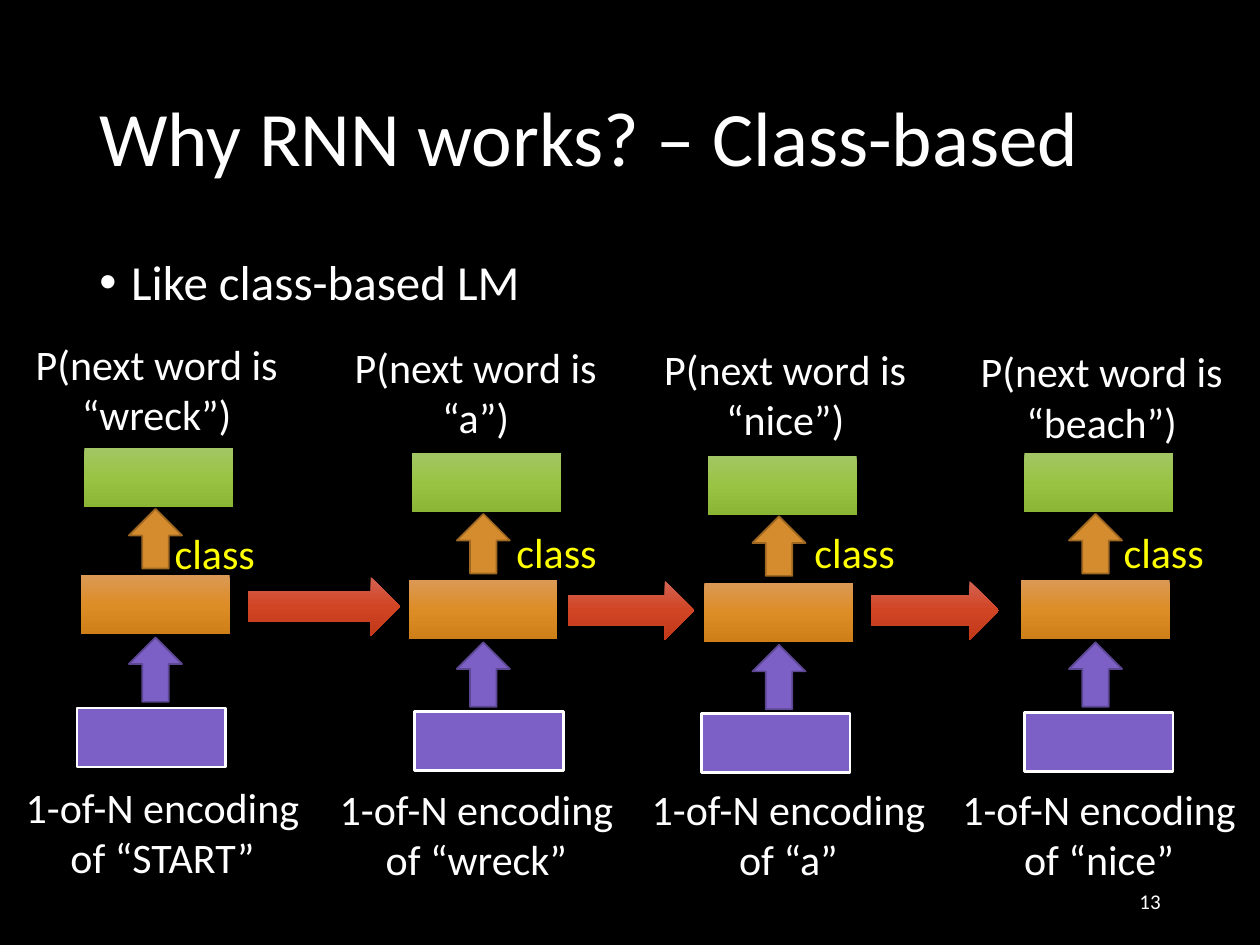
from copy import deepcopy
from dataclasses import dataclass

from lxml.etree import SubElement
from pptx import Presentation
from pptx.dml.color import RGBColor
from pptx.enum.shapes import MSO_SHAPE as Shape
from pptx.enum.text import MSO_ANCHOR as Anchor, MSO_AUTO_SIZE as AutoSize, PP_ALIGN as Align
from pptx.oxml.ns import qn
from pptx.util import Cm, Pt

FONT = "Calibri"
BLACK = RGBColor(0x00, 0x00, 0x00)
WHITE = RGBColor(0xFF, 0xFF, 0xFF)
YELLOW = RGBColor(0xFF, 0xFF, 0x00)
PURPLE = RGBColor(0x7C, 0x60, 0xC6)
DARK_PURPLE = RGBColor(0x5C, 0x47, 0x92)
ORANGE = RGBColor(0xD5, 0x8C, 0x2E)
DARK_ORANGE = RGBColor(0x9E, 0x68, 0x22)
ORANGE_BLEND = (RGBColor(0xDB, 0x99, 0x55), RGBColor(0xDD, 0x8D, 0x26), RGBColor(0xCE, 0x7F, 0x18))
GREEN_BLEND = (RGBColor(0xA2, 0xC6, 0x64), RGBColor(0x99, 0xC4, 0x43), RGBColor(0x8A, 0xB5, 0x35))
RED_BLEND = (RGBColor(0xD3, 0x63, 0x53), RGBColor(0xD1, 0x44, 0x24), RGBColor(0xC1, 0x38, 0x19))

LAYER_WIDTH, LAYER_HEIGHT = 3, 1.19
UP_ARROW_WIDTH = 1.07


@dataclass
class TimeStep:
    """One network step; every offset is (x, y) in cm from the output layer."""
    left: float
    top: float
    word: str
    next_word: str
    input_at: tuple
    encoding_at: tuple
    prediction_at: tuple
    class_at: tuple


TIME_STEPS = [
    TimeStep(1.7, 9.04, "START", "wreck", (-0.15, 5.23), (-1.5, 6.58), (-1.73, -2.34), (1.57, 1.47)),
    TimeStep(8.31, 9.14, "wreck", "a", (0.05, 5.21), (-1.78, 6.53), (-1.91, -2.39), (1.85, 1.35)),
    TimeStep(14.27, 9.19, "a", "nice", (-0.13, 5.19), (-1.45, 6.48), (-1.63, -2.39), (1.9, 1.3)),
    TimeStep(20.65, 9.14, "nice", "beach", (0, 5.23), (-1.57, 6.53), (-1.63, -2.29), (1.75, 1.35)),
]

# left, top and width of the arrows between hidden layers
RECURRENT_ARROWS = [(5, 11.63, 3.07), (11.46, 11.71, 2.54), (17.55, 11.71, 2.59)]


def write_text(frame, text, size=24, color=WHITE, align=Align.LEFT, anchor=Anchor.TOP,
               line_spacing=None, space_before=None):
    frame.word_wrap = True
    frame.auto_size = AutoSize.NONE
    frame.vertical_anchor = anchor
    paragraph = frame.paragraphs[0]
    paragraph.alignment = align
    paragraph.line_spacing = line_spacing
    paragraph.space_before = space_before
    run = paragraph.add_run()
    run.text = text
    run.font.name = FONT
    run.font.size = Pt(size)
    run.font.color.rgb = color
    return paragraph


def add_label(slide, box, text, **text_format):
    label = slide.shapes.add_textbox(*map(Cm, box))
    write_text(label.text_frame, text, **text_format)


def add_solid(slide, kind, box, fill, line, line_width):
    shape = slide.shapes.add_shape(kind, *map(Cm, box))
    shape.shadow.inherit = False
    shape.fill.solid()
    shape.fill.fore_color.rgb = fill
    shape.line.color.rgb = line
    shape.line.width = Pt(line_width)


def add_blended(slide, kind, box, colors):
    """Shape with a three-stop vertical gradient and a soft shadow."""
    shape = slide.shapes.add_shape(kind, *map(Cm, box))
    shape.line.fill.background()
    shape.fill.gradient()
    shape.fill.gradient_angle = 270
    properties = shape._element.spPr
    stop_list = properties.find(qn("a:gradFill")).find(qn("a:gsLst"))
    stop_list.append(deepcopy(stop_list[-1]))
    for stop, position, color in zip(shape.fill.gradient_stops, (0, 0.5, 1), colors):
        stop.position = position
        stop.color.rgb = color

    shape.shadow.inherit = False
    shadow = SubElement(properties.find(qn("a:effectLst")), qn("a:outerShdw"),
                        blurRad=str(Pt(4.5)), dist=str(Pt(1.5)), dir="5400000",
                        algn="ctr", rotWithShape="0")
    shadow_color = SubElement(shadow, qn("a:srgbClr"), val=str(BLACK))
    SubElement(shadow_color, qn("a:alpha"), val="63000")


def add_header(slide):
    # Title
    title = slide.shapes.title
    title.left, title.top, title.width, title.height = map(Cm, (1.75, 1.01, 21.9, 3.68))
    write_text(title.text_frame, "Why RNN works? – Class-based", size=44,
               anchor=Anchor.MIDDLE, line_spacing=0.9)

    # Bullet list
    body = slide.placeholders[1]
    body.left, body.top, body.width, body.height = map(Cm, (1.75, 5.07, 21.9, 12.09))
    paragraph = write_text(body.text_frame, "Like class-based LM", size=28,
                           line_spacing=0.9, space_before=Pt(10))
    indent = Cm(0.64)
    bullet = paragraph._p.get_or_add_pPr()
    bullet.set("marL", str(indent))
    bullet.set("indent", str(-indent))


def add_time_step(slide, step):
    def place(offset, width, height):
        return step.left + offset[0], step.top + offset[1], width, height

    # Layers, from input to output
    layer = (LAYER_WIDTH, LAYER_HEIGHT)
    add_solid(slide, Shape.RECTANGLE, place(step.input_at, *layer), PURPLE, WHITE, 1.5)
    add_blended(slide, Shape.RECTANGLE, place((-0.07, 2.56), *layer), ORANGE_BLEND)
    add_blended(slide, Shape.RECTANGLE, place((0, 0), *layer), GREEN_BLEND)

    # Arrows between the layers
    add_solid(slide, Shape.UP_ARROW, place((0.9, 3.81), UP_ARROW_WIDTH, 1.3),
              PURPLE, DARK_PURPLE, 1)
    add_solid(slide, Shape.UP_ARROW, place((0.9, 1.22), UP_ARROW_WIDTH, 1.2),
              ORANGE, DARK_ORANGE, 1)

    # Labels
    add_label(slide, place(step.encoding_at, 6.15, 2.31),
              f"1-of-N encoding of “{step.word}”", align=Align.CENTER)
    add_label(slide, place(step.prediction_at, 6.38, 2.31),
              f"P(next word is “{step.next_word}”)", align=Align.CENTER)
    add_label(slide, place(step.class_at, 2.54, 1.27), "class", color=YELLOW)


def main():
    presentation = Presentation()
    presentation.slide_width, presentation.slide_height = Cm(25.4), Cm(19.05)
    slide = presentation.slides.add_slide(presentation.slide_layouts[1])
    slide.background.fill.solid()
    slide.background.fill.fore_color.rgb = BLACK

    add_header(slide)
    for step in TIME_STEPS:
        add_time_step(slide, step)
    for left, top, width in RECURRENT_ARROWS:
        add_blended(slide, Shape.RIGHT_ARROW, (left, top, width, LAYER_HEIGHT), RED_BLEND)

    # Slide number
    add_label(slide, (17.93, 17.65, 5.72, 1.02), "13", size=12,
              align=Align.RIGHT, anchor=Anchor.MIDDLE)
    presentation.save("out.pptx")


if __name__ == "__main__":
    main()
